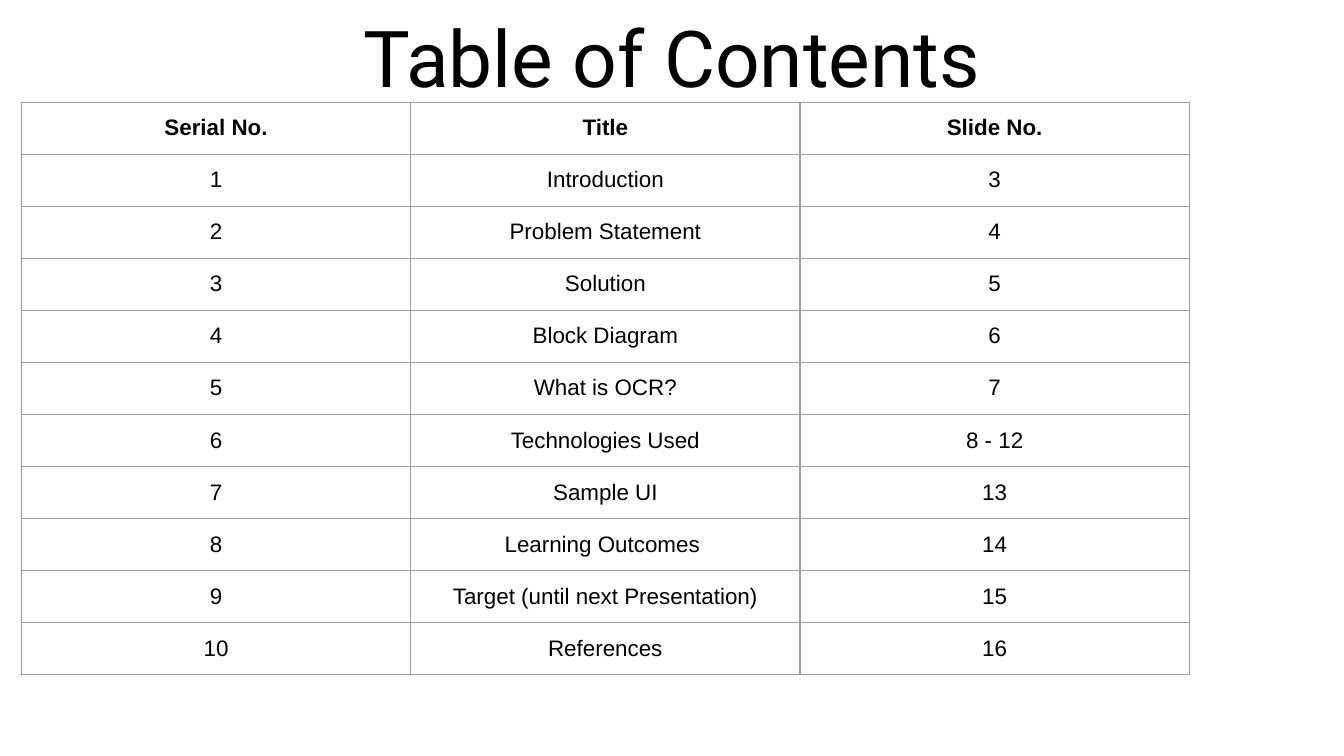
from lxml import etree
from pptx import Presentation
from pptx import util as u
from pptx.dml.color import RGBColor
from pptx.enum import text
from pptx.oxml.ns import qn

TITLE = "Table of Contents"
HEADER = ("Serial No.", "Title", "Slide No.")
ENTRIES = [
    ("Introduction", "3"),
    ("Problem Statement", "4"),
    ("Solution", "5"),
    ("Block Diagram", "6"),
    ("What is OCR?", "7"),
    ("Technologies Used", "8 - 12"),
    ("Sample UI", "13"),
    ("Learning Outcomes ", "14"),
    ("Target (until next Presentation)", "15"),
    ("References", "16"),
]
COLORS = {"text": "000000", "border": "9E9E9E", "background": "FFFFFF"}
SLIDE_WIDTH = u.Inches(10)
SLIDE_HEIGHT = SLIDE_WIDTH * 9 // 16
TABLE_WIDTH, ROW_HEIGHT = u.Inches(8.69), u.Inches(0.35)
MARGIN = u.Inches(0.1)


def write(text_frame, content, font_name, size, bold=False):
    text_frame.text = content
    paragraph = text_frame.paragraphs[0]
    paragraph.alignment = text.PP_ALIGN.CENTER
    font = paragraph.runs[0].font
    font.name, font.size, font.bold = font_name, u.Pt(size), bold
    font.color.rgb = RGBColor.from_string(COLORS["text"])


def set_margins(target):
    target.margin_left = target.margin_right = MARGIN
    target.margin_top = target.margin_bottom = MARGIN


def add_borders(cell):
    properties = cell._tc.get_or_add_tcPr()
    for position, side in enumerate(("a:lnL", "a:lnR", "a:lnT", "a:lnB")):
        line = etree.Element(qn(side), w=str(u.Pt(0.75)))
        fill = etree.SubElement(line, qn("a:solidFill"))
        etree.SubElement(fill, qn("a:srgbClr"), val=COLORS["border"])
        properties.insert(position, line)


def add_title(slide):
    title = slide.shapes.title
    title.left, title.top = 0, u.Inches(-0.03)
    title.width, title.height = SLIDE_WIDTH, u.Inches(0.9)
    frame = title.text_frame
    set_margins(frame)
    frame.word_wrap = True
    frame.auto_size = text.MSO_AUTO_SIZE.NONE
    frame.vertical_anchor = text.MSO_ANCHOR.BOTTOM
    write(frame, TITLE, "Roboto", 42)
    frame.paragraphs[0].line_spacing = 1.0


def add_contents(slide):
    rows = [HEADER] + [(str(number), *entry) for number, entry in enumerate(ENTRIES, 1)]
    table = slide.shapes.add_table(
        len(rows), len(HEADER), u.Inches(0.16), u.Inches(0.76),
        TABLE_WIDTH, ROW_HEIGHT * len(rows)).table
    table.first_row = table.horz_banding = False
    for row_index, row in enumerate(rows):
        for column_index, content in enumerate(row):
            cell = table.cell(row_index, column_index)
            set_margins(cell)
            cell.fill.background()
            write(cell.text_frame, content, "Arial", 12, bold=row_index == 0)
            add_borders(cell)


def main():
    presentation = Presentation()
    presentation.slide_width, presentation.slide_height = SLIDE_WIDTH, SLIDE_HEIGHT
    slide = presentation.slides.add_slide(presentation.slide_layouts[5])
    background = slide.background.fill
    background.solid()
    background.fore_color.rgb = RGBColor.from_string(COLORS["background"])
    add_title(slide)
    add_contents(slide)
    presentation.save("out.pptx")


if __name__ == "__main__":
    main()
